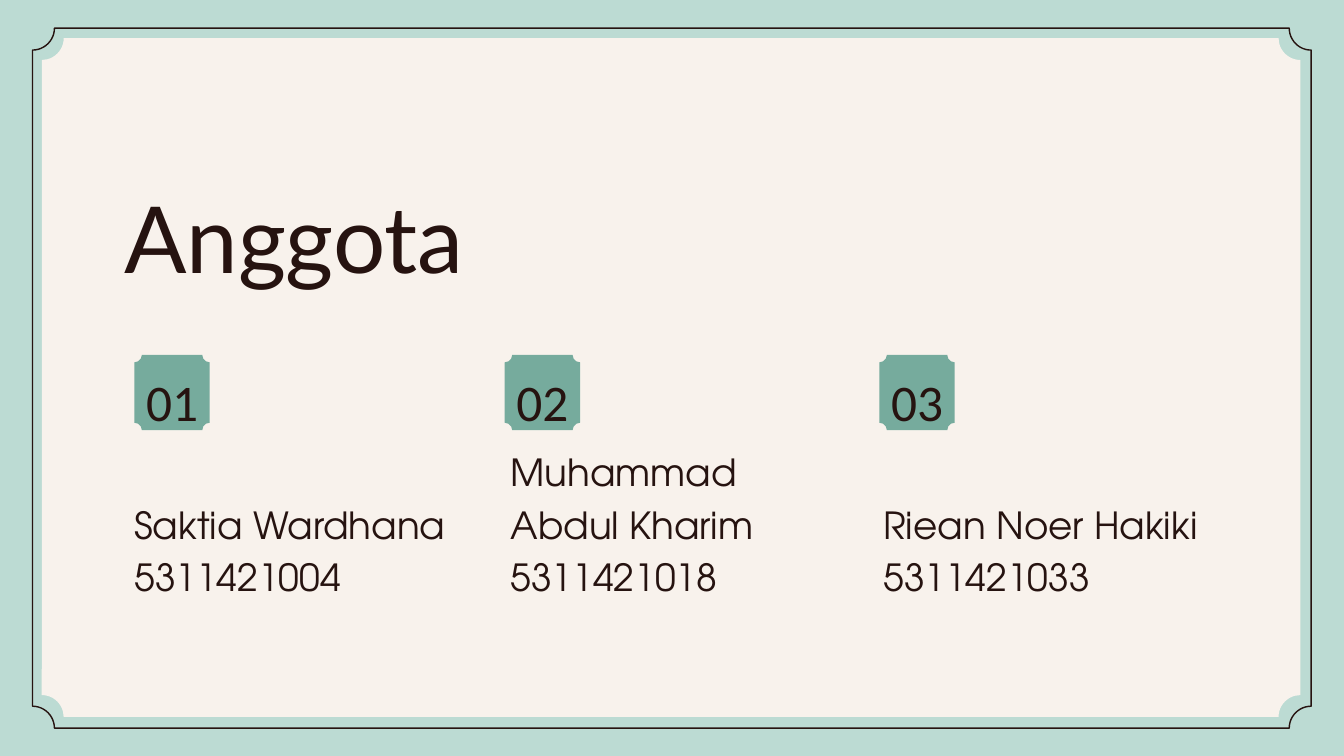
from pptx import Presentation
from pptx.dml.color import RGBColor
from pptx.enum.shapes import MSO_SHAPE
from pptx.enum.text import MSO_ANCHOR, MSO_AUTO_SIZE, PP_ALIGN
from pptx.util import Pt

PLAQUE = MSO_SHAPE.PLAQUE
TOP = MSO_ANCHOR.TOP
FIXED = MSO_AUTO_SIZE.NONE
LEFT, CENTER = PP_ALIGN.LEFT, PP_ALIGN.CENTER

MINT, CREAM, GREEN, INK = "BCDBD3", "F8F2EC", "76AB9D", "261310"
TILE, TILE_TOP = 80.7, 380.2
LINE, BASE = 56, 641.5
MEMBERS = [
    # number, tile left, name left, lines shown, name, student id
    ("01", 144, 144, 2, "Saktia Wardhana", "5311421004"),
    ("02", 540.8, 547, 3, "Muhammad Abdul Kharim", "5311421018"),
    ("03", 942.2, 946.5, 2, "Riean Noer Hakiki", "5311421033"),
]


def paint(form, tint):
    """Give a fill, line or font format one solid hex colour."""
    if hasattr(form, "solid"):
        form.solid()
        form = form.fore_color
    else:
        form = form.color
    form.rgb = RGBColor.from_string(tint)


def plaque(shapes, box, curve, fill=None, line=None):
    """Add a rectangle with scooped corners of the given radius."""
    shape = shapes.add_shape(PLAQUE, *map(Pt, box))
    shape.shadow.inherit = False
    shape.adjustments[0] = curve / min(box[2:])
    if fill:
        paint(shape.fill, fill)
    else:
        shape.fill.background()
    if line:
        paint(shape.line, line)
        shape.line.width = Pt(1.5)
    else:
        shape.line.fill.background()


def write(shape, lines, size, face, pitch, align=LEFT):
    """Fill a shape with paragraphs of one style and no insets."""
    frame = shape.text_frame
    frame.text = "\n".join(lines)
    frame.word_wrap = True
    frame.auto_size = FIXED
    frame.vertical_anchor = TOP
    frame.margin_left = frame.margin_right = 0
    frame.margin_top = frame.margin_bottom = 0
    for para in frame.paragraphs:
        para.alignment = align
        para.line_spacing = Pt(pitch)
        para.space_before = Pt(0)
        para.font.size = Pt(size)
        para.font.name = face
        paint(para.font, INK)


def title(slide, text):
    """Place and style the title placeholder."""
    head = slide.shapes.title
    head.left, head.top = Pt(133), Pt(174)
    head.width, head.height = Pt(931), Pt(134)
    write(head, [text], 99, "Lato", 138.6)


def member(slide, mark, left, start, rows, name, code):
    """Add a numbered tile with a name and student number below."""
    group = slide.shapes.add_group_shape()
    plaque(group.shapes, (left, TILE_TOP, TILE, TILE), 8, fill=GREEN)
    label = group.shapes.add_textbox(
        Pt(left + 4), Pt(TILE_TOP + 5.8), Pt(TILE - 8), Pt(72))
    write(label, [mark], 55, "Calibri", 77, CENTER)

    high = rows * LINE
    box = slide.shapes.add_textbox(
        Pt(start), Pt(BASE - high), Pt(349), Pt(high))
    write(box, [name, code], 40, "TeX Gyre Adventor", LINE)


def main():
    """Build the slide of group members."""
    deck = Presentation()
    deck.slide_width, deck.slide_height = Pt(1440), Pt(810)
    slide = deck.slides.add_slide(deck.slide_layouts[5])
    paint(slide.background.fill, MINT)

    border = slide.shapes.add_group_shape()
    plaque(border.shapes, (34.8, 30.2, 1370, 750), 23.5, line=INK)
    plaque(border.shapes, (44.8, 40.8, 1348.6, 727.4), 23.5, fill=CREAM)
    slide.shapes.title.element.getparent().append(slide.shapes.title.element)

    title(slide, "Anggota")
    for row in MEMBERS:
        member(slide, *row)
    deck.save("out.pptx")


if __name__ == "__main__":
    main()
